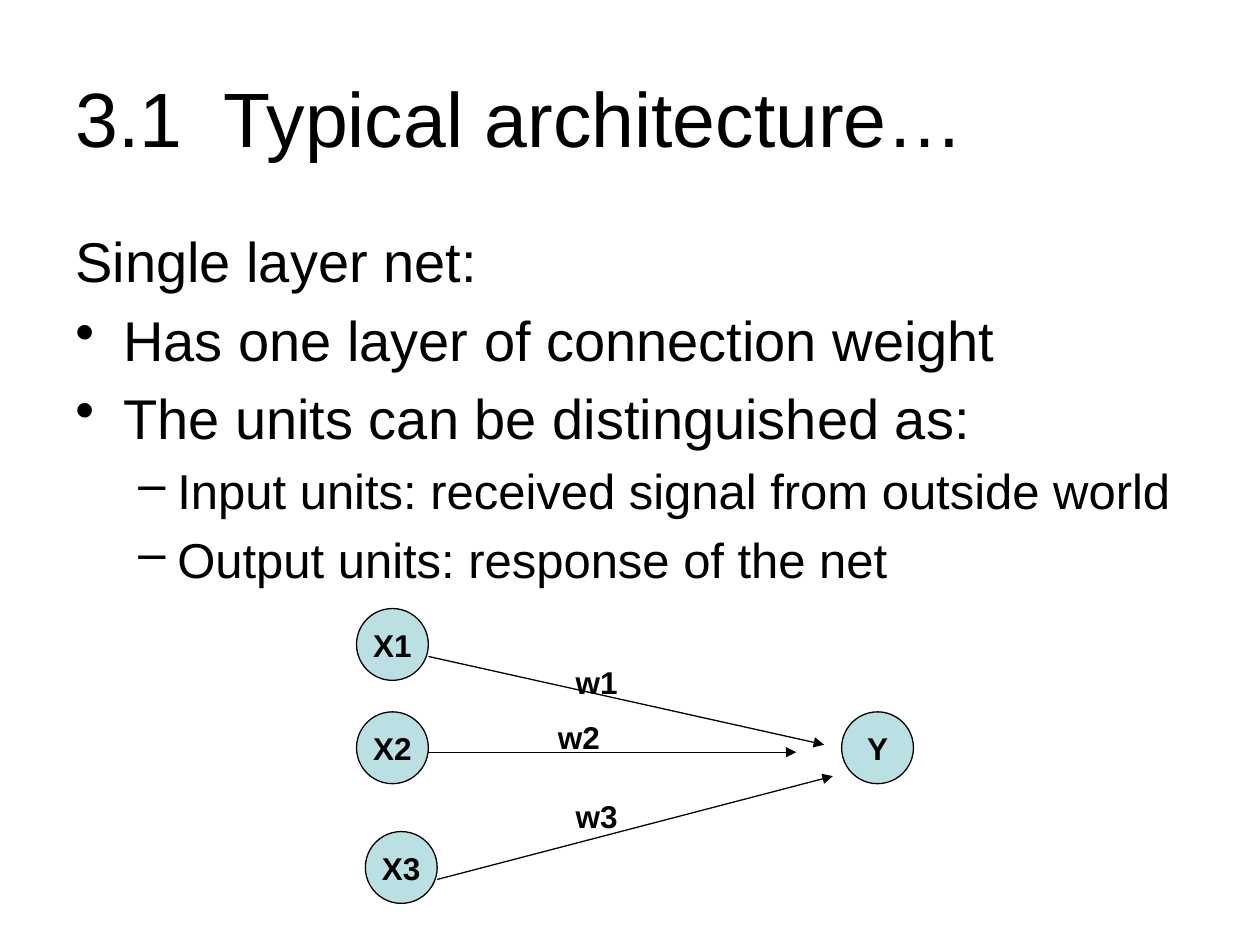
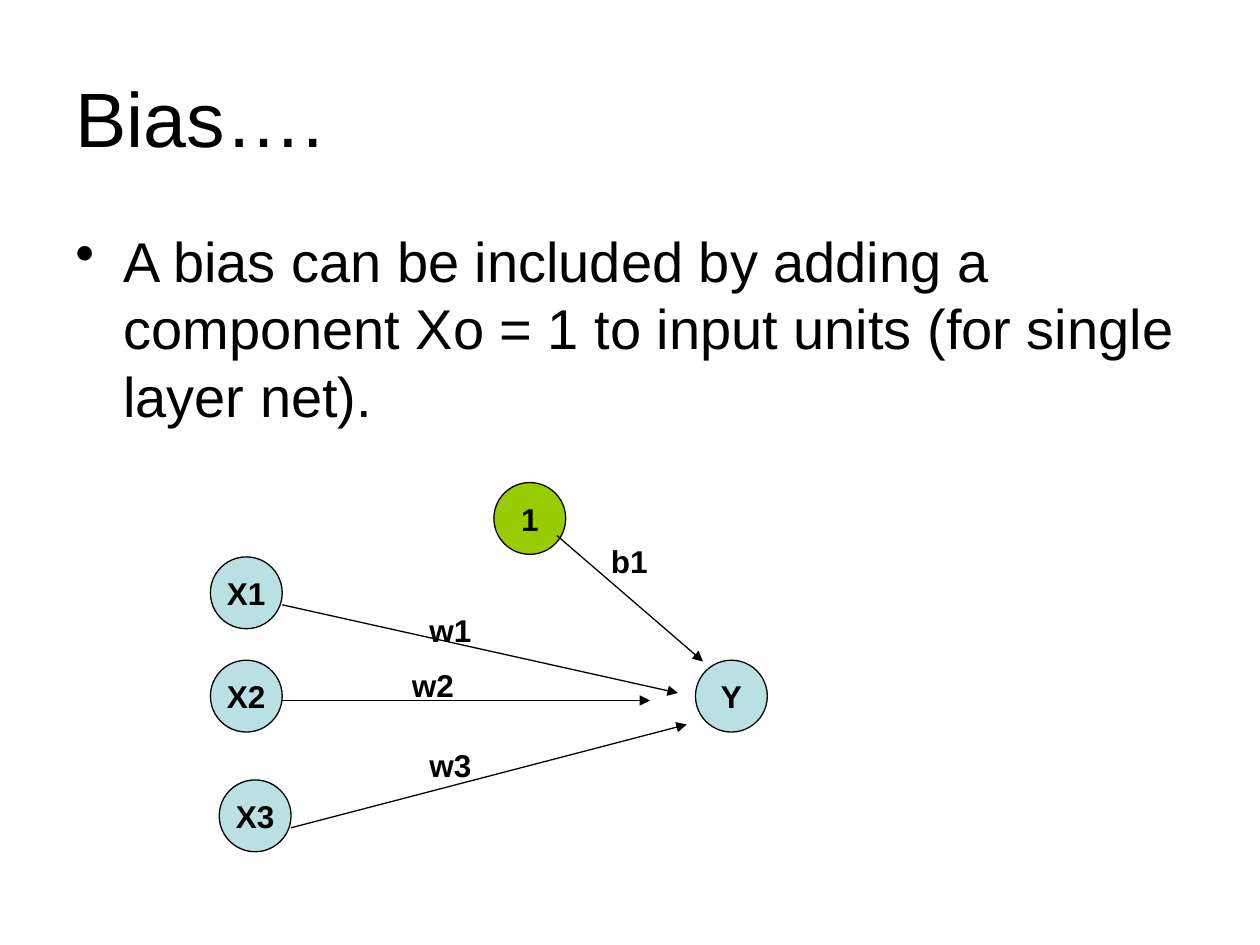
from dataclasses import dataclass

from lxml import etree
from pptx import Presentation
from pptx.dml.color import RGBColor
from pptx.enum.shapes import MSO_CONNECTOR, MSO_SHAPE
from pptx.enum.text import MSO_ANCHOR, MSO_AUTO_SIZE, PP_ALIGN
from pptx.oxml.ns import qn
from pptx.slide import Slide
from pptx.util import Emu, Pt

STRAIGHT = MSO_CONNECTOR.STRAIGHT
OVAL = MSO_SHAPE.OVAL
TOP, MIDDLE = MSO_ANCHOR.TOP, MSO_ANCHOR.MIDDLE
LEFT, CENTER = PP_ALIGN.LEFT, PP_ALIGN.CENTER
FIT_SHAPE = MSO_AUTO_SIZE.SHAPE_TO_FIT_TEXT

BLACK = RGBColor(0x00, 0x00, 0x00)
PALE_TEAL = RGBColor(0xBB, 0xE0, 0xE3)
LIME = RGBColor(0x99, 0xCC, 0x00)

EMU_PER_PX = 9144
FONT = "Arial"
NODE_SIZE = 57
LABEL_HEIGHT = 40
LINE_WIDTH = Pt(0.75)
TITLE_FORMAT = {"name": FONT, "size": Pt(44)}
NODE_FORMAT = {"name": FONT, "size": Pt(18), "bold": True}


@dataclass(frozen=True)
class Level:
    size: int
    margin: int
    hanging: int
    bullet: str


@dataclass(frozen=True)
class Line:
    text: str
    level: Level


@dataclass(frozen=True)
class Node:
    text: str
    x: int
    y: int
    fill: RGBColor = PALE_TEAL


@dataclass(frozen=True)
class Arrow:
    x1: int
    y1: int
    x2: int
    y2: int


@dataclass(frozen=True)
class Label:
    text: str
    x: int
    y: int
    width: int = 71


LEAD = Level(32, 38, 38, "")
POINT = Level(32, 38, 38, "•")
SUBPOINT = Level(28, 81, 31, "–")

NETWORK = [
    Node("X1", 0, 0),
    Node("X2", 0, 82),
    Node("X3", 7, 177),
    Node("Y", 385, 82),
    Arrow(57, 38, 371, 108),
    Arrow(57, 114, 349, 114),
    Arrow(64, 215, 378, 133),
    Label("w1", 164, 38, 93),
    Label("w2", 150, 82),
    Label("w3", 164, 145),
]
BIAS_UNIT = [
    Node("1", 225, -59, LIME),
    Arrow(275, -17, 391, 83),
    Label("b1", 308, -17, 100),
]


def px(length: int) -> Emu:
    return Emu(length * EMU_PER_PX)


def apply_format(target, values: dict) -> None:
    for name, value in values.items():
        setattr(target, name, value)


def write(para, text: str, values: dict) -> None:
    span = para.add_run()
    span.text = text
    apply_format(span.font, values)
    span.font.color.rgb = BLACK


def add_box(page: Slide, x: int, y: int, width: int, height: int, frame_format: dict):
    box = page.shapes.add_textbox(px(x), px(y), px(width), px(height))
    apply_format(box.text_frame, {"word_wrap": True, **frame_format})
    return box.text_frame


def add_title(page: Slide, text: str) -> None:
    frame = add_box(page, 50, 30, 900, 125, {"vertical_anchor": MIDDLE})
    write(frame.paragraphs[0], text, TITLE_FORMAT)


def add_body(page: Slide, lines: list[Line]) -> None:
    frame = add_box(page, 50, 175, 900, 495, {"vertical_anchor": TOP})
    for index, line in enumerate(lines):
        para = frame.add_paragraph() if index else frame.paragraphs[0]
        level = line.level
        apply_format(para, {"alignment": LEFT, "space_before": Pt(level.size * 0.2)})
        write(para, line.text, {"name": FONT, "size": Pt(level.size)})
        properties = para._p.get_or_add_pPr()
        properties.set("marL", str(px(level.margin)))
        properties.set("indent", str(px(-level.hanging)))
        if level.bullet:
            etree.SubElement(properties, qn("a:buChar")).set("char", level.bullet)


def add_node(page: Slide, node: Node, left: int, top: int) -> None:
    shape = page.shapes.add_shape(
        OVAL, px(left + node.x), px(top + node.y), px(NODE_SIZE), px(NODE_SIZE)
    )
    shape.shadow.inherit = False
    shape.fill.solid()
    shape.fill.fore_color.rgb = node.fill
    shape.line.color.rgb = BLACK
    shape.line.width = LINE_WIDTH
    apply_format(shape.text_frame, {"word_wrap": False, "vertical_anchor": MIDDLE})
    para = shape.text_frame.paragraphs[0]
    para.alignment = CENTER
    write(para, node.text, NODE_FORMAT)


def add_arrow(page: Slide, arrow: Arrow, left: int, top: int) -> None:
    connector = page.shapes.add_connector(
        STRAIGHT,
        px(left + arrow.x1),
        px(top + arrow.y1),
        px(left + arrow.x2),
        px(top + arrow.y2),
    )
    connector.line.color.rgb = BLACK
    connector.line.width = LINE_WIDTH
    outline = connector.line._get_or_add_ln()
    etree.SubElement(outline, qn("a:tailEnd")).set("type", "triangle")
    etree.SubElement(connector._element.spPr, qn("a:effectLst"))


def add_label(page: Slide, label: Label, left: int, top: int) -> None:
    frame = add_box(
        page, left + label.x, top + label.y, label.width, LABEL_HEIGHT,
        {"auto_size": FIT_SHAPE},
    )
    write(frame.paragraphs[0], label.text, NODE_FORMAT)


DRAWERS = {Node: add_node, Arrow: add_arrow, Label: add_label}


def add_diagram(page: Slide, parts: list[Node | Arrow | Label], left: int, top: int) -> None:
    for part in parts:
        DRAWERS[type(part)](page, part, left, top)


def add_page(deck, title: str, lines: list[Line]) -> Slide:
    page = deck.slides.add_slide(deck.slide_layouts[6])
    add_title(page, title)
    add_body(page, lines)
    return page


def main() -> None:
    deck = Presentation()
    deck.slide_width, deck.slide_height = px(1000), px(750)

    architecture = add_page(deck, "3.1  Typical architecture…", [
        Line("Single layer net:", LEAD),
        Line("Has one layer of connection weight", POINT),
        Line("The units can be distinguished as:", POINT),
        Line("Input units: received signal from outside world", SUBPOINT),
        Line("Output units: response of the net", SUBPOINT),
    ])
    add_diagram(architecture, NETWORK, 283, 483)

    bias = add_page(deck, "Bias….", [
        Line(
            "A bias can be included by adding a component Xo = 1 "
            "to input units (for single layer net).",
            POINT,
        ),
    ])
    add_diagram(bias, NETWORK + BIAS_UNIT, 167, 442)

    deck.save("out.pptx")


if __name__ == "__main__":
    main()
